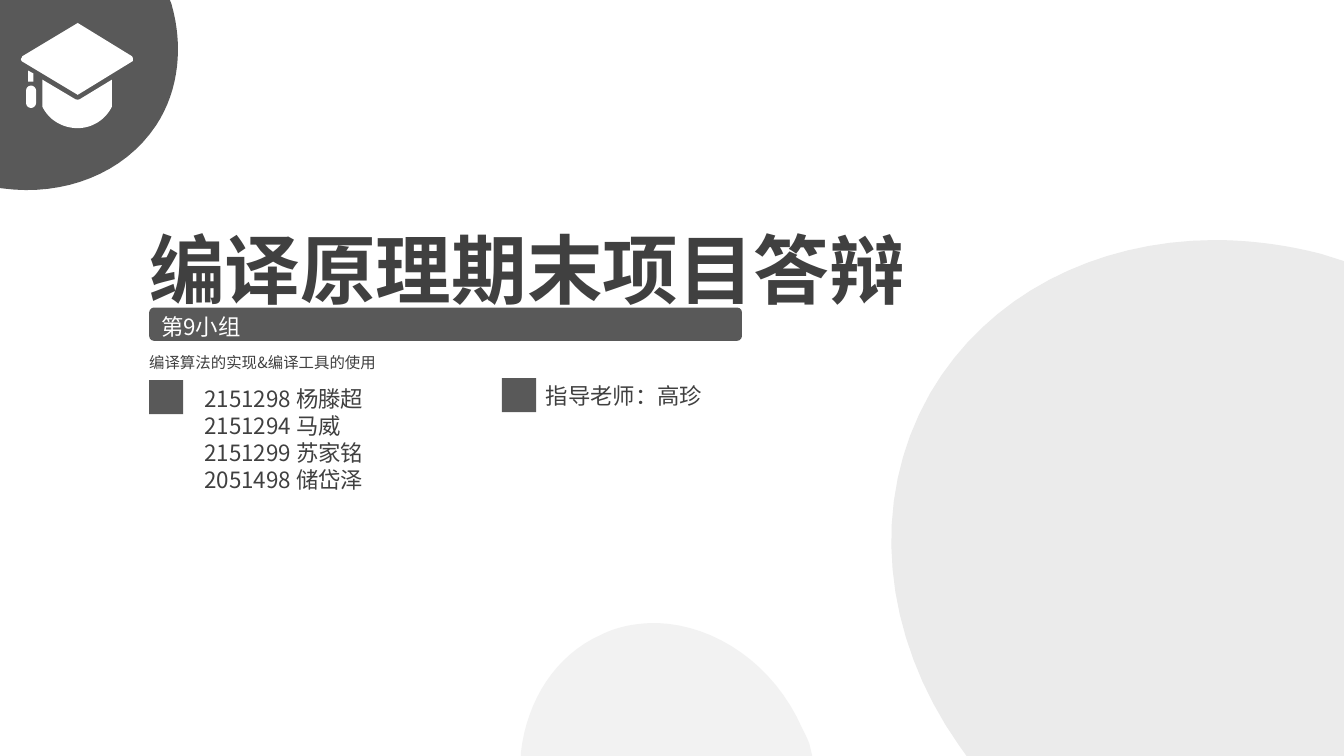
"""Build the opening slide of a compiler course project defence."""
from dataclasses import dataclass

from lxml import etree
from pptx import Presentation
from pptx.dml.color import RGBColor
from pptx.enum.shapes import MSO_SHAPE
from pptx.enum.text import MSO_ANCHOR, MSO_AUTO_SIZE, PP_ALIGN
from pptx.oxml.ns import qn
from pptx.shapes.autoshape import Shape
from pptx.slide import Slide
from pptx.util import Cm, Pt

RECTANGLE = MSO_SHAPE.RECTANGLE
ROUNDED = MSO_SHAPE.ROUNDED_RECTANGLE
TOP = MSO_ANCHOR.TOP
LEFT = PP_ALIGN.LEFT
NO_AUTOFIT = MSO_AUTO_SIZE.NONE

WHITE = RGBColor(0xFF, 0xFF, 0xFF)
INK = RGBColor(0x40, 0x40, 0x40)
SLATE = RGBColor(0x59, 0x59, 0x59)
MIST = RGBColor(0xEB, 0xEB, 0xEB)
PALE = RGBColor(0xF2, 0xF2, 0xF2)

FONT = "Noto Sans CJK SC"
LINE_HEIGHT = 1.2
CURVE_STEPS = 16
MARKER = 0.86

Frame = tuple[float, float, float, float]
Contour = list[tuple[float, ...]]


@dataclass(frozen=True)
class Outline:
    """Closed contours in cm; a pair is a corner, six numbers are a Bezier curve."""
    color: RGBColor
    contours: list[Contour]


@dataclass(frozen=True)
class Block:
    """A filled preset shape."""
    kind: MSO_SHAPE
    frame: Frame


@dataclass(frozen=True)
class Words:
    """Lines of text with their frame and format."""
    lines: list[str]
    frame: Frame
    size: int = 16
    color: RGBColor = INK
    bold: bool = False
    inset: tuple[float, float] = (0.25, 0.13)


OUTLINES = [
    Outline(PALE, [[
        (16.56, 15.7), (18.03, 15.75, 19.51, 16.74, 20.22, 18.36),
        (20.29, 18.49, 20.35, 18.62, 20.4, 18.75), (20.47, 19.05),
        (13.13, 19.05), (13.13, 18.95),
        (13.28, 17.65, 14, 16.51, 15.14, 16),
        (15.6, 15.77, 16.08, 15.7, 16.56, 15.7)]]),
    Outline(MIST, [[
        (30.58, 6.05), (31.5, 6.05, 32.41, 6.17, 33.3, 6.4),
        (33.87, 6.58), (33.87, 19.05), (24.36, 19.05), (24.16, 18.77),
        (22.25, 16.05, 21.87, 12.65, 23.44, 9.91),
        (24.89, 7.42, 27.61, 6.07, 30.58, 6.05)]]),
    Outline(SLATE, [[
        (0, 0), (4.28, 0), (4.32, 0.1),
        (4.62, 1.14, 4.52, 2.26, 3.94, 3.15),
        (3.12, 4.39, 1.6, 4.95, 0.08, 4.75), (0, 4.74)]]),
    Outline(WHITE, [
        [(0.79, 2.16), (0.84, 2.16, 0.91, 2.21, 0.91, 2.29), (0.91, 2.59),
         (0.91, 2.67, 0.84, 2.72, 0.79, 2.72),
         (0.71, 2.72, 0.66, 2.67, 0.66, 2.59), (0.66, 2.29),
         (0.66, 2.21, 0.71, 2.16, 0.79, 2.16)],
        [(1.07, 2.01), (1.88, 2.49), (1.91, 2.51, 1.93, 2.51, 1.96, 2.51),
         (1.98, 2.51, 2.01, 2.51, 2.03, 2.49), (2.82, 2.01), (2.82, 2.69),
         (2.67, 3, 2.34, 3.23, 1.96, 3.23),
         (1.55, 3.23, 1.22, 3, 1.07, 2.69)],
        [(0.71, 1.78), (0.84, 1.85), (0.84, 2.06), (0.71, 2.06)],
        [(1.96, 0.58), (3.33, 1.42), (3.35, 1.45, 3.35, 1.47, 3.35, 1.5),
         (3.35, 1.52, 3.35, 1.55, 3.33, 1.55), (1.96, 2.39), (0.56, 1.55),
         (0.56, 1.55, 0.53, 1.52, 0.53, 1.5),
         (0.53, 1.47, 0.56, 1.45, 0.56, 1.42)]]),
]

BLOCKS = [
    Block(RECTANGLE, (3.76, 9.58, MARKER, MARKER)),
    Block(RECTANGLE, (12.65, 9.53, MARKER, MARKER)),
    Block(ROUNDED, (3.76, 7.75, 14.94, 0.84)),
]

TITLE = Words(["编译原理期末项目答辩"], (3.51, 5.48, 27.41, 2.57), size=54, bold=True)
MEMBERS = Words(
    ["2151298 杨滕超", "2151294 马威", "2151299 苏家铭", "2051498 储岱泽"],
    (4.9, 9.58, 5.87, 3))
LABELS = [
    Words(["指导老师：高珍"], (13.51, 9.5, 5.87, 0.94)),
    Words(["第9小组"], (3.81, 7.75, 3.99, 0.94), color=WHITE),
    Words(["编译算法的实现&编译工具的使用"], (3.76, 8.89, 15.24, 0.46),
          size=11, inset=(0, 0)),
]


def apply(target: object, values: dict[str, object]) -> None:
    """Set every attribute named in the format values."""
    for name, value in values.items():
        setattr(target, name, value)


def trace(contour: Contour) -> list[tuple[int, int]]:
    """Turn corners and curves into points."""
    points = [contour[0]]
    for step in contour[1:]:
        if len(step) == 2:
            points.append(step)
            continue
        controls = [points[-1], step[:2], step[2:4], step[4:]]
        for index in range(1, CURVE_STEPS + 1):
            t = index / CURVE_STEPS
            weights = ((1 - t) ** 3, 3 * t * (1 - t) ** 2, 3 * t * t * (1 - t), t ** 3)
            points.append(tuple(
                sum(weight * control[axis] for weight, control in zip(weights, controls))
                for axis in (0, 1)))
    return [(Cm(x), Cm(y)) for x, y in points]


def paint(shape: Shape, color: RGBColor) -> None:
    """Give a shape a flat fill without line or shadow."""
    shape.shadow.inherit = False
    shape.fill.solid()
    shape.fill.fore_color.rgb = color
    shape.line.fill.background()


def draw_outline(slide: Slide, outline: Outline) -> None:
    """Draw the contours as one freeform."""
    first, *others = [trace(contour) for contour in outline.contours]
    builder = slide.shapes.build_freeform(*first[0], scale=1.0)
    builder.add_line_segments(first[1:], close=True)
    for points in others:
        builder.move_to(*points[0])
        builder.add_line_segments(points[1:], close=True)
    paint(builder.convert_to_shape(), outline.color)


def draw_block(slide: Slide, block: Block) -> None:
    """Draw a preset shape in the dark accent."""
    shape = slide.shapes.add_shape(block.kind, *map(Cm, block.frame))
    if block.kind == ROUNDED:
        shape.adjustments[0] = 0.148
    paint(shape, SLATE)


def write(box: Shape, words: Words) -> None:
    """Place a box and fill it with formatted lines."""
    apply(box, dict(zip(("left", "top", "width", "height"), map(Cm, words.frame))))
    side, edge = map(Cm, words.inset)
    frame = box.text_frame
    apply(frame, {"word_wrap": True, "auto_size": NO_AUTOFIT, "vertical_anchor": TOP,
                  "margin_left": side, "margin_right": side,
                  "margin_top": edge, "margin_bottom": edge})
    for index, line in enumerate(words.lines):
        para = frame.add_paragraph() if index else frame.paragraphs[0]
        apply(para, {"alignment": LEFT, "space_before": Pt(0),
                     "line_spacing": Pt(words.size * LINE_HEIGHT)})
        span = para.add_run()
        span.text = line
        apply(span.font, {"name": FONT, "size": Pt(words.size), "bold": words.bold})
        span.font.color.rgb = words.color
        etree.SubElement(span.font._element, qn("a:ea"), typeface=FONT)


def main() -> None:
    """Compose the slide and save the deck."""
    deck = Presentation()
    apply(deck, {"slide_width": Cm(33.87), "slide_height": Cm(19.05)})
    slide = deck.slides.add_slide(deck.slide_layouts[0])
    for outline in OUTLINES:
        draw_outline(slide, outline)
    for block in BLOCKS:
        draw_block(slide, block)
    write(slide.shapes.title, TITLE)
    write(slide.placeholders[1], MEMBERS)
    for label in LABELS:
        write(slide.shapes.add_textbox(*map(Cm, label.frame)), label)
    deck.save("out.pptx")


if __name__ == "__main__":
    main()
